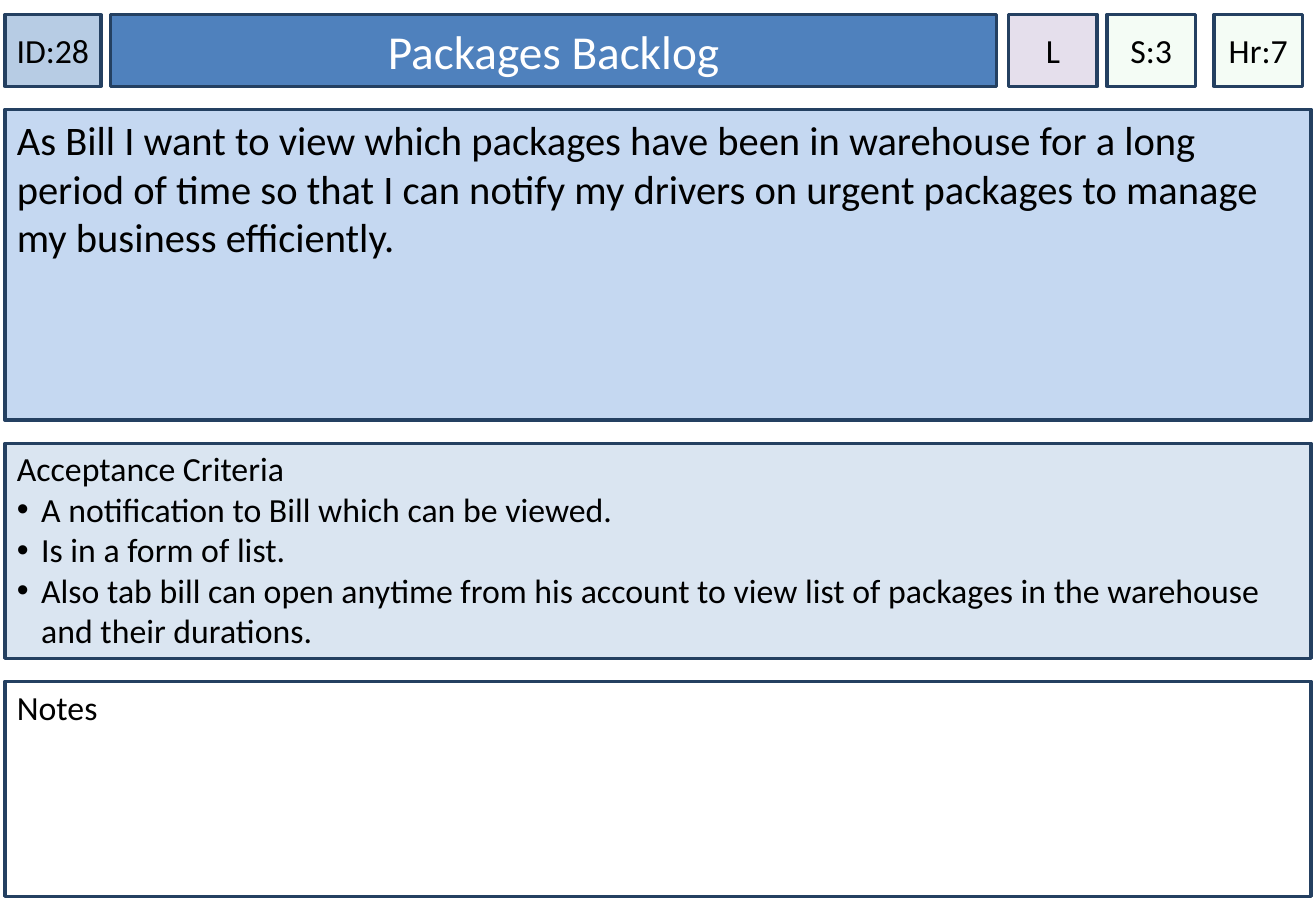
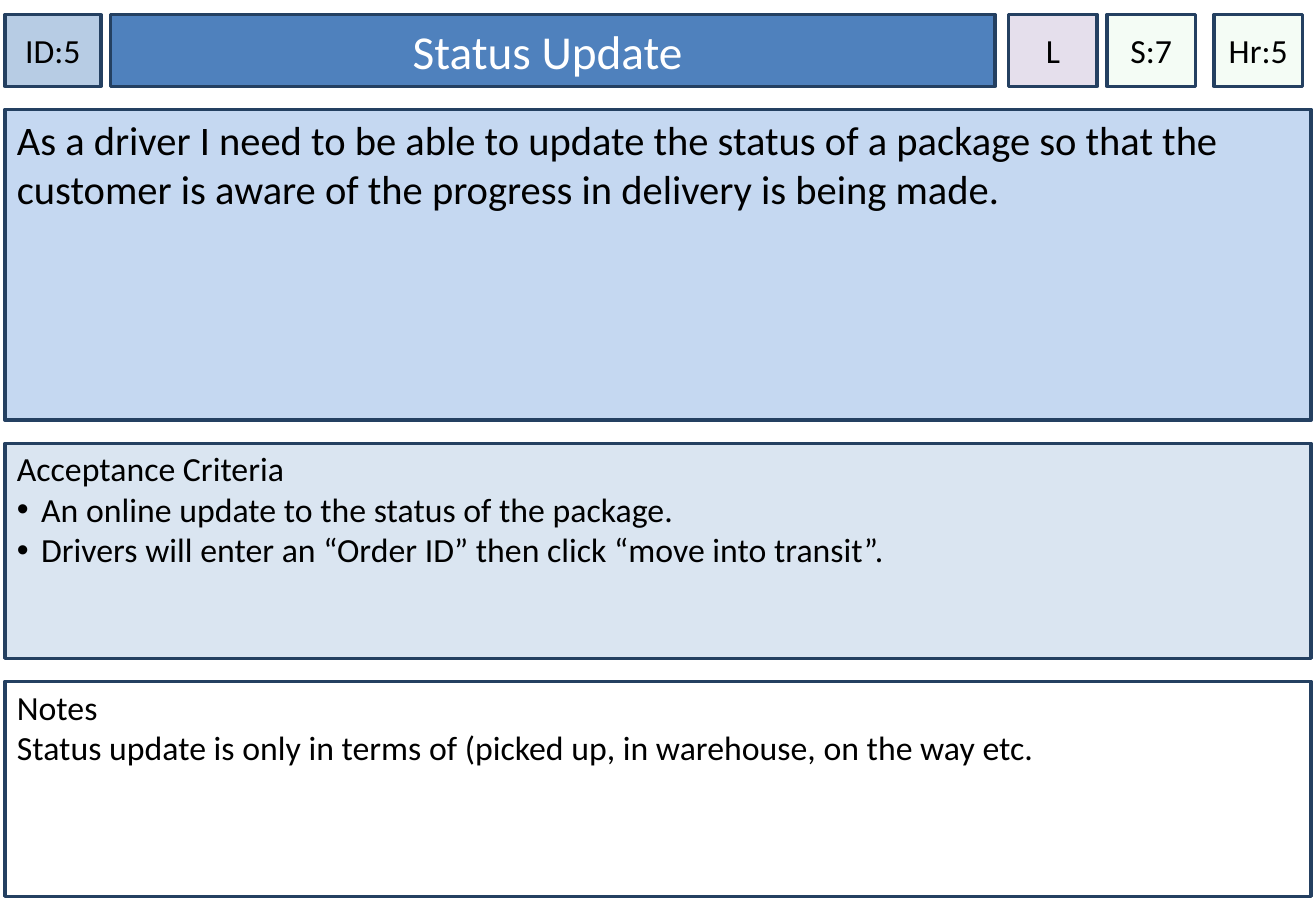
from dataclasses import dataclass

from lxml.etree import SubElement
from pptx import Presentation
from pptx.dml.color import RGBColor
from pptx.enum.shapes import MSO_SHAPE
from pptx.enum.text import MSO_ANCHOR, MSO_AUTO_SIZE, PP_ALIGN
from pptx.oxml.ns import qn
from pptx.util import Emu, Pt

PX = 9144  # 100 px to the inch
SLIDE_W, SLIDE_H = 1083, 750
FONT = "Calibri"
BLACK, WHITE, NAVY = "000000", "FFFFFF", "244061"
INDENT = 20

# Card grid
LEFT, BODY_W = 4, 1075
TOP, HEAD_H = 12, 59
BODY_TOP, GAP = 90, 19


@dataclass(frozen=True)
class Box:
    left: int
    top: int
    width: int
    height: int
    fill: str
    size: int = 20
    color: str = BLACK
    side_inset: int = 10
    top_inset: int = 5
    centred: bool = False
    opacity: int = 100


@dataclass(frozen=True)
class Card:
    id: str
    title: str
    title_width: int
    priority: str
    points: str
    hours: str
    story: str
    criteria: tuple[str, ...]
    notes: tuple[str, ...] = ()


def px(n: int) -> Emu:
    return Emu(n * PX)


def rgb(value: str) -> RGBColor:
    return RGBColor.from_string(value)


def badge(left: int, fill: str, width: int = 73, opacity: int = 100) -> Box:
    return Box(left, TOP, width, HEAD_H, fill, side_inset=0, centred=True, opacity=opacity)


ID_BADGE = badge(LEFT, "B7CCE4", width=79)
PRIORITY_BADGE = badge(830, "E5DFEC")
POINTS_BADGE = badge(911, "CCF0CD", opacity=20)
HOURS_BADGE = badge(999, "CCF0CD", opacity=20)

STORY_H, PANEL_H = 256, 177
CRITERIA_TOP = BODY_TOP + STORY_H + GAP
STORY = Box(LEFT, BODY_TOP, BODY_W, STORY_H, "C5D8F1", size=24)
CRITERIA = Box(LEFT, CRITERIA_TOP, BODY_W, PANEL_H, "DAE5F1", top_inset=4)
NOTES = Box(LEFT, CRITERIA_TOP + PANEL_H + GAP, BODY_W, PANEL_H, WHITE, top_inset=4)

CARDS = (
    Card("ID:28", "Packages Backlog", 729, "L", "S:3", "Hr:7",
         "As Bill I want to view which packages have been in warehouse for a long period "
         "of time so that I can notify my drivers on urgent packages to manage my business "
         "efficiently.",
         ("A notification to Bill which can be viewed.",
          "Is in a form of list.",
          "Also tab bill can open anytime from his account to view list of packages in the "
          "warehouse and their durations.")),
    Card("ID:5", "Status Update ", 728, "L", "S:7", "Hr:5",
         "As a driver I need to be able to update the status of a package so that the "
         "customer is aware of the progress in delivery is being made.",
         ("An online update to the status of the package.",
          "Drivers will enter an “Order ID” then click “move into transit”."),
         ("Status update is only in terms of (picked up, in warehouse, on the way etc.",)),
)


def set_all(target, values: dict) -> None:
    for name, value in values.items():
        setattr(target, name, value)


def add_bullet(p) -> None:
    pPr = p._p.get_or_add_pPr()
    pPr.set("marL", str(px(INDENT)))
    pPr.set("indent", str(-px(INDENT)))
    SubElement(SubElement(pPr, qn("a:buClr")), qn("a:srgbClr"), val=BLACK)
    SubElement(pPr, qn("a:buFont"), typeface="Arial")
    SubElement(pPr, qn("a:buChar"), char="•")


def format_box(sp, box: Box, lines: tuple[str, ...], bullets: tuple[str, ...] = ()) -> None:
    """Place a shape, colour it and write its paragraphs."""
    set_all(sp, {"left": px(box.left), "top": px(box.top),
                 "width": px(box.width), "height": px(box.height)})
    sp.fill.solid()
    sp.fill.fore_color.rgb = rgb(box.fill)
    if box.opacity < 100:
        color = sp._element.spPr.find(qn("a:solidFill")).find(qn("a:srgbClr"))
        SubElement(color, qn("a:alpha"), val=str(box.opacity * 1000))
    sp.line.color.rgb = rgb(NAVY)
    sp.line.width = Pt(2)

    tf = sp.text_frame
    set_all(tf, {
        "word_wrap": True,
        "auto_size": MSO_AUTO_SIZE.NONE,
        "vertical_anchor": MSO_ANCHOR.MIDDLE if box.centred else MSO_ANCHOR.TOP,
        "margin_left": px(box.side_inset), "margin_right": px(box.side_inset),
        "margin_top": px(box.top_inset), "margin_bottom": px(5),
    })
    for i, text in enumerate(lines + bullets):
        p = tf.add_paragraph() if i else tf.paragraphs[0]
        p.alignment = PP_ALIGN.CENTER if box.centred else PP_ALIGN.LEFT
        if i >= len(lines):
            add_bullet(p)
        r = p.add_run()
        r.text = text
        set_all(r.font, {"name": FONT, "size": Pt(box.size)})
        r.font.color.rgb = rgb(box.color)


def add_box(s, box: Box, lines: tuple[str, ...], bullets: tuple[str, ...] = ()) -> None:
    sp = s.shapes.add_shape(MSO_SHAPE.RECTANGLE, 0, 0, 0, 0)
    sp.shadow.inherit = False
    format_box(sp, box, lines, bullets)


def add_card(prs, card: Card) -> None:
    s = prs.slides.add_slide(prs.slide_layouts[5])

    # Header: title bar and badges
    title = Box(91, TOP, card.title_width, HEAD_H, "4F81BD", size=28, color=WHITE, centred=True)
    format_box(s.shapes.title, title, (card.title,))
    for box, text in ((ID_BADGE, card.id), (PRIORITY_BADGE, card.priority),
                      (POINTS_BADGE, card.points), (HOURS_BADGE, card.hours)):
        add_box(s, box, (text,))

    # Body panels
    add_box(s, STORY, (card.story,))
    add_box(s, CRITERIA, ("Acceptance Criteria",), card.criteria)
    add_box(s, NOTES, ("Notes",) + card.notes)


def main() -> None:
    prs = Presentation()
    set_all(prs, {"slide_width": px(SLIDE_W), "slide_height": px(SLIDE_H)})
    for card in CARDS:
        add_card(prs, card)
    prs.save("out.pptx")


if __name__ == "__main__":
    main()
